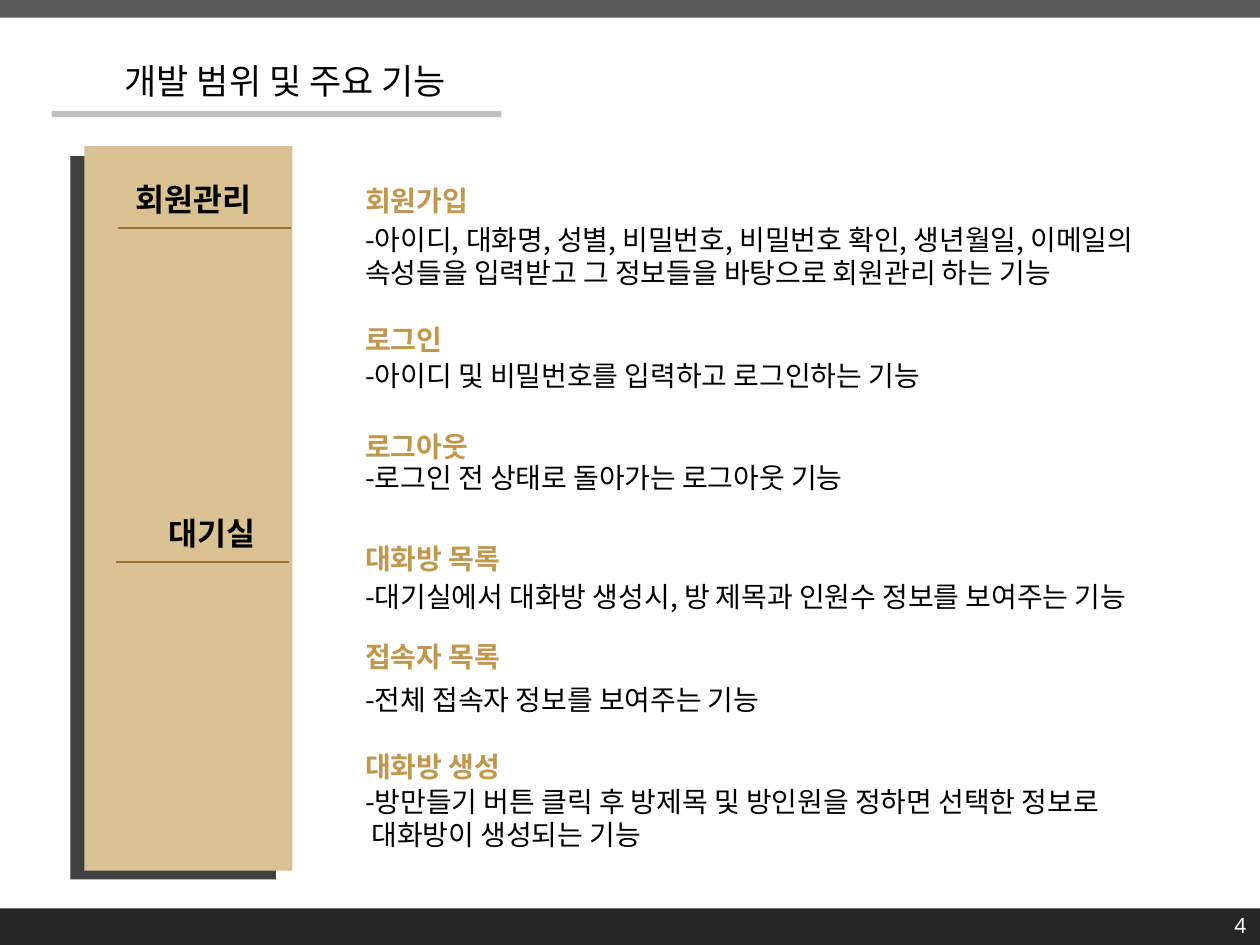
import pptx
import pptx.dml.color
import pptx.enum.shapes
import pptx.enum.text
import pptx.util
from lxml import etree
from pptx.util import Inches

KOREAN_FONT = "Noto Sans CJK KR"
BLACK = "000000"
GOLD = "BF974D"
TEXT_LEFT = 2.8

FEATURES = [
    ("회원가입", 1.41, 1.72,
     ["-아이디, 대화명, 성별, 비밀번호, 비밀번호 확인, 생년월일, 이메일의 "
      "속성들을 입력받고 그 정보들을 바탕으로 회원관리 하는 기능"]),
    ("로그인", 2.51, 2.8, ["-아이디 및 비밀번호를 입력하고 로그인하는 기능"]),
    ("로그아웃", 3.36, 3.61, ["-로그인 전 상태로 돌아가는 로그아웃 기능"]),
    ("대화방 목록", 4.25, 4.55,
     ["-대기실에서 대화방 생성시, 방 제목과 인원수 정보를 보여주는 기능"]),
    ("접속자 목록", 5.03, 5.37, ["-전체 접속자 정보를 보여주는 기능"]),
    ("대화방 생성", 5.9, 6.18,
     ["-방만들기 버튼 클릭 후 방제목 및 방인원을 정하면 선택한 정보로",
      " 대화방이 생성되는 기능"]),
]
BANDS = [
    (0, 0, 10, 0.14, "595959"),
    (0, 7.21, 10, 0.29, "262626"),
    (0.41, 0.88, 3.57, 0.05, "BFBFBF"),
    (0.56, 1.24, 1.63, 5.74, "404040"),
    (0.67, 1.16, 1.65, 5.75, "D9C194"),
]
CATEGORIES = [("회원관리", 0.98, 1.39, 0.94, 1.81), ("대기실", 1.24, 4.04, 0.92, 4.46)]


def color(value):
    """Return the RGB colour of a hex string."""
    return pptx.dml.color.RGBColor.from_string(value)


def add_band(slide, left, top, width, height, fill):
    """Add a plain filled rectangle."""
    shape = slide.shapes.add_shape(
        pptx.enum.shapes.MSO_SHAPE.RECTANGLE,
        Inches(left), Inches(top), Inches(width), Inches(height))
    shape.shadow.inherit = False
    shape.fill.solid()
    shape.fill.fore_color.rgb = color(fill)
    shape.line.fill.background()


def add_rule(slide, left, top, width):
    """Add a horizontal line under a category name."""
    connector = slide.shapes.add_connector(
        pptx.enum.shapes.MSO_CONNECTOR.STRAIGHT,
        Inches(left), Inches(top), Inches(left + width), Inches(top))
    connector.line.color.rgb = color("947335")
    connector.line.width = pptx.util.Pt(1.5)
    etree.SubElement(connector._element.spPr, pptx.oxml.ns.qn("a:effectLst"))


def add_text(slide, lines, left, top, width, height, *, size=16, fill=BLACK, bold=False,
             font=KOREAN_FONT, spacing=None, wrap=True, align=None, middle=False):
    """Add a text box with one paragraph for each line."""
    shape = slide.shapes.add_textbox(Inches(left), Inches(top), Inches(width), Inches(height))
    frame = shape.text_frame
    frame.word_wrap = wrap
    if middle:
        frame.vertical_anchor = pptx.enum.text.MSO_ANCHOR.MIDDLE
    for index, line in enumerate(lines):
        paragraph = frame.paragraphs[0] if index == 0 else frame.add_paragraph()
        paragraph.alignment = align
        paragraph.line_spacing = spacing or pptx.util.Pt(round(size * 1.19))
        run = paragraph.add_run()
        run.text = line
        run.font.size = pptx.util.Pt(size)
        run.font.bold = bold
        run.font.color.rgb = color(fill)
        run.font.name = font
        east_asian = etree.SubElement(run.font._element, pptx.oxml.ns.qn("a:ea"))
        east_asian.set("typeface", font)


def main():
    """Build the slide of development scope and main features."""
    presentation = pptx.Presentation()
    presentation.slide_width = Inches(10)
    presentation.slide_height = Inches(7.5)
    slide = presentation.slides.add_slide(presentation.slide_layouts[6])

    for band in BANDS:
        add_band(slide, *band)
    add_text(slide, ["개발 범위 및 주요 기능"], 0.89, 0.31, 3.38, 0.49,
             size=20, spacing=1.5, wrap=False, middle=True)
    add_text(slide, ["4"], 7.66, 7.14, 2.33, 0.4, size=12, fill="FFFFFF", font="Noto Sans",
             spacing=1.0, align=pptx.enum.text.PP_ALIGN.RIGHT, middle=True)

    for name, left, top, rule_left, rule_top in CATEGORIES:
        add_text(slide, [name], left, top, 1.24, 0.4, size=18, bold=True)
        add_rule(slide, rule_left, rule_top, 1.37)
    for heading, heading_top, body_top, lines in FEATURES:
        add_text(slide, [heading], TEXT_LEFT, heading_top, 6.06, 0.37, fill=GOLD, bold=True)
        add_text(slide, lines, TEXT_LEFT, body_top, 7.05, 0.37)

    presentation.save("out.pptx")


if __name__ == "__main__":
    main()
